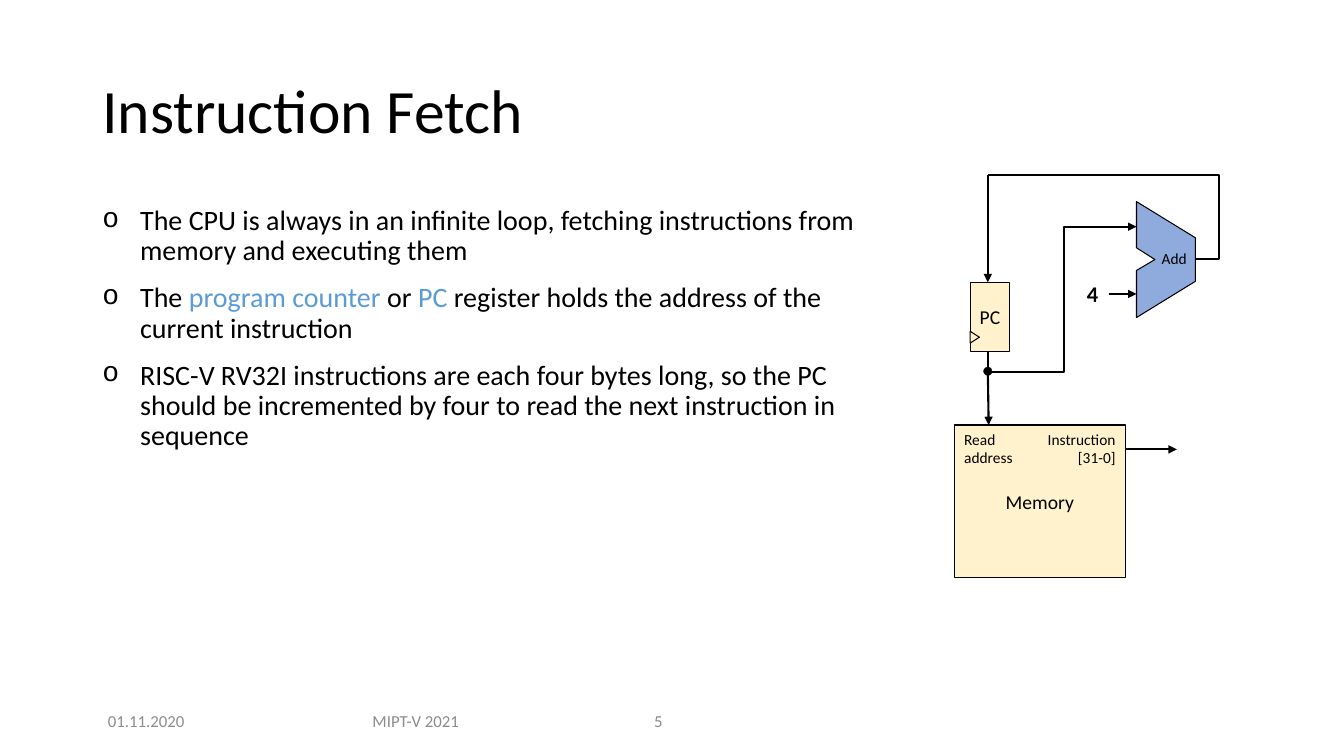
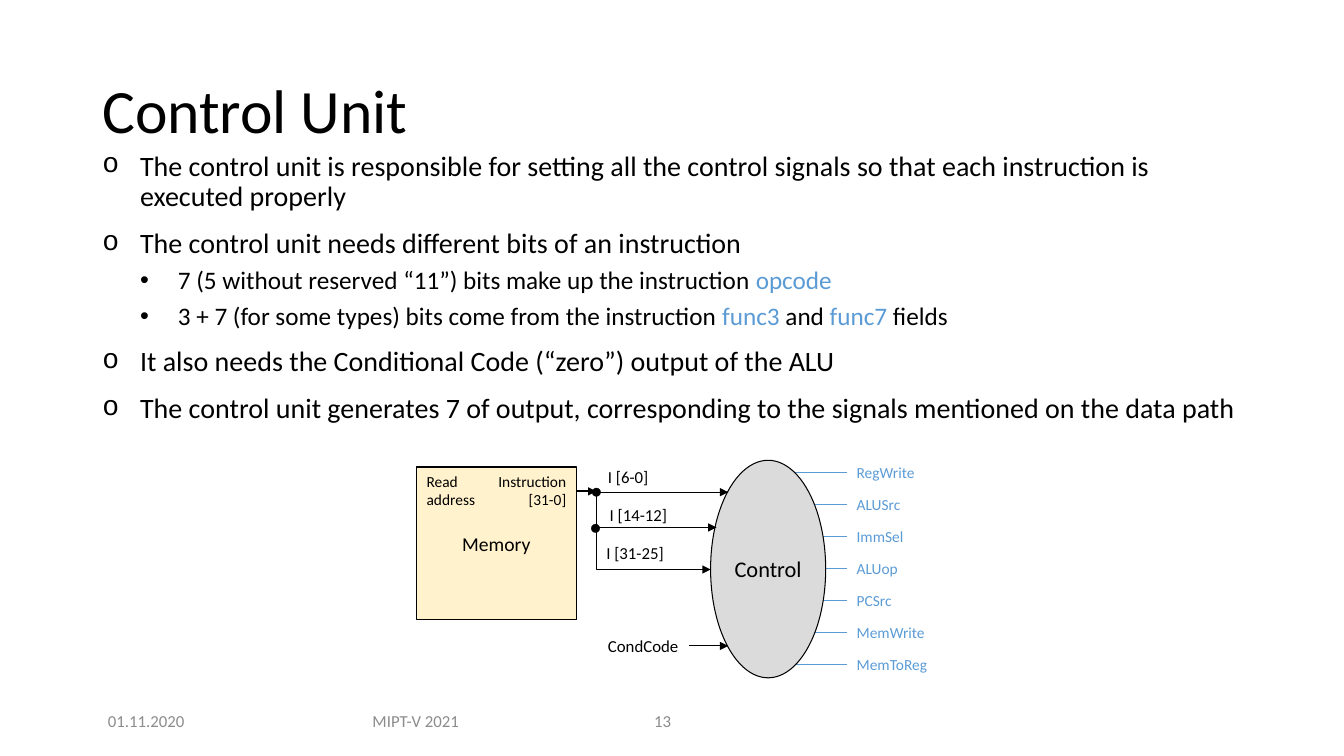
from dataclasses import dataclass

from lxml import etree
from pptx import Presentation
from pptx import util as u
from pptx.dml.color import RGBColor
from pptx.enum import shapes, text
from pptx.oxml import ns

COLUMNS, ROWS = 160, 90
CELL = u.Inches(1) / 12
FONT = "Calibri"
BLACK, GRAY, BLUE = "000000", "8C8C8C", "5B9BD5"
CREAM, ADDER_BLUE, SILVER = "FFF2CC", "8FAADC", "DBDBDB"
LEFT, CENTER, RIGHT = text.PP_ALIGN.LEFT, text.PP_ALIGN.CENTER, text.PP_ALIGN.RIGHT
TOP, MIDDLE = text.MSO_ANCHOR.TOP, text.MSO_ANCHOR.MIDDLE
PRESET = shapes.MSO_SHAPE
BULLETS = [("o", "Courier New", 20, 12), ("•", "Arial", 18, 6)]


@dataclass
class Box:
    left: float
    top: float
    width: float
    height: float

    def inner(self, column, row, width, height):
        return Box(self.left + column, self.top + row, width, height)

    def point(self, column, row):
        return cells(self.left + column), cells(self.top + row)

    def lengths(self):
        return [cells(n) for n in (self.left, self.top, self.width, self.height)]


def cells(count):
    return u.Emu(round(count * CELL))


def color(hex_string):
    return RGBColor.from_string(hex_string)


def add_xml(parent, tag, **attributes):
    return etree.SubElement(parent, ns.qn(tag), attributes)


def style_font(paragraph, size, ink=BLACK, bold=False):
    font = paragraph.font
    font.name, font.size, font.bold = FONT, u.Pt(size), bold
    font.color.rgb = color(ink)


def add_label(page, box, words, size, ink=BLACK, align=LEFT, anchor=TOP,
              bold=False, spacing=None, inset=True):
    frame = page.shapes.add_textbox(*box.lengths()).text_frame
    frame.word_wrap, frame.vertical_anchor = True, anchor
    if not inset:
        frame.margin_left = frame.margin_right = 0
        frame.margin_top = frame.margin_bottom = 0
    frame.text = words
    for paragraph in frame.paragraphs:
        paragraph.alignment = align
        if spacing:
            paragraph.line_spacing = spacing
        style_font(paragraph, size, ink, bold)


def paint(shape, fill, width=0.75):
    shape.shadow.inherit = False
    shape.fill.solid()
    shape.fill.fore_color.rgb = color(fill)
    shape.line.color.rgb = color(BLACK)
    shape.line.width = u.Pt(width)


def add_block(page, preset, box, fill, words="", size=14):
    block = page.shapes.add_shape(preset, *box.lengths())
    paint(block, fill)
    frame = block.text_frame
    frame.margin_left = frame.margin_right = 0
    frame.word_wrap, frame.vertical_anchor = False, MIDDLE
    if words:
        frame.text = words
        frame.paragraphs[0].alignment = CENTER
        style_font(frame.paragraphs[0], size)
    return block


def add_dot(page, area, column, row):
    dot = page.shapes.add_shape(PRESET.OVAL, *area.inner(column - 0.5, row - 0.5, 1, 1).lengths())
    paint(dot, BLACK, 0.25)


def add_wire(page, area, start, end, width=1.5, ink=BLACK, arrow=True, bend=None):
    kind = shapes.MSO_CONNECTOR.STRAIGHT if bend is None else shapes.MSO_CONNECTOR.ELBOW
    wire = page.shapes.add_connector(kind, *area.point(*start), *area.point(*end))
    wire.line.color.rgb = color(ink)
    wire.line.width = u.Pt(width)
    if arrow:
        add_xml(wire.get_or_add_ln(), "a:tailEnd", type="triangle")
    properties = wire.element.spPr
    if bend is not None:
        guides = properties.find(".//" + ns.qn("a:avLst"))
        add_xml(guides, "a:gd", name="adj1", fmla=f"val {round(bend * 100000)}")
    add_xml(properties, "a:effectLst")


def add_bullets(page, box, items):
    frame = page.shapes.add_textbox(*box.lengths()).text_frame
    frame.word_wrap = True
    for index, (level, words) in enumerate(items):
        paragraph = frame.paragraphs[0] if index == 0 else frame.add_paragraph()
        mark, mark_font, size, before = BULLETS[level]
        paragraph.level = level
        paragraph.line_spacing = 0.9
        paragraph.space_before = u.Pt(before if index else 0)
        indent = cells(4.5)
        properties = paragraph._p.get_or_add_pPr()
        properties.set("marL", str(indent * (level + 1)))
        properties.set("indent", str(-indent))
        add_xml(properties, "a:buFont", typeface=mark_font)
        add_xml(properties, "a:buChar", char=mark)
        style_font(paragraph, size)
        for position, piece in enumerate(words.split("|")):
            if piece:
                span = paragraph.add_run()
                span.text = piece
                if position % 2:
                    span.font.color.rgb = color(BLUE)


def add_page(deck, title, number):
    page = deck.slides.add_slide(deck.slide_layouts[6])
    add_label(page, Box(11, 4.8, 138, 17.4), title, 44, anchor=MIDDLE, spacing=0.9)
    footer = Box(11, 83.4, 75, 4.8)
    for column, width, words, align in [
        (0, 12.8, "01.11.2020", CENTER),
        (29, 19, "MIPT-V 2021", CENTER),
        (65.7, 9.5, number, LEFT),
    ]:
        add_label(page, footer.inner(column, 0, width, footer.height), words, 12, GRAY, align, MIDDLE)
    return page


def draw_memory(page, box, output_length):
    add_block(page, PRESET.RECTANGLE, box, CREAM, "Memory")
    add_label(page, box.inner(0, 0, 9, 5.6), "Read\naddress", 11)
    add_label(page, box.inner(box.width - 11.8, 0, 11.8, 5.6), "Instruction [31-0]", 11, align=RIGHT)
    add_wire(page, box, (box.width, 2.9), (box.width + output_length, 2.9))


def draw_adder(page, box):
    outline = [(0, 0), (0, 5.5), (2.2, 6.9), (0, 8.2), (0, 13.8), (7, 9.5), (7, 4.3)]
    first, *others = [box.point(*corner) for corner in outline]
    builder = page.shapes.build_freeform(*first)
    builder.add_line_segments(others, close=True)
    paint(builder.convert_to_shape(), ADDER_BLUE)
    add_label(page, box.inner(2.1, 5.6, 4.8, 2.3), "Add", 11, align=CENTER, inset=False)


def draw_register(page, box):
    add_block(page, PRESET.RECTANGLE, box, CREAM, "PC")
    clock = add_block(page, PRESET.ISOSCELES_TRIANGLE, box.inner(-0.15, 6, 1.4, 1.1), CREAM)
    clock.rotation = 90


def draw_fetch(page, area):
    add_wire(page, area, (28.6, 10), (4, 0), arrow=False, bend=-0.12)
    add_wire(page, area, (4, 0), (4, 12.8))
    add_dot(page, area, 4, 23.4)
    add_wire(page, area, (4.2, 23.5), (21.7, 6.2), bend=0.51)
    draw_adder(page, area.inner(21.7, 3.2, 7, 13.8))
    add_label(page, area.inner(14.6, 12, 3.8, 4.4), "4", 16, bold=True)
    add_wire(page, area, (18.4, 14.2), (21.7, 14.2))
    draw_memory(page, area.inner(0, 29.8, 20.4, 18.2), 6.1)
    add_wire(page, area, (4, 21), (4, 23.5), arrow=False)
    draw_register(page, area.inner(1.9, 12.8, 4.7, 8.2))
    add_wire(page, area, (4, 23.4), (4.1, 29.8))


def draw_control(page, area):
    draw_memory(page, area.inner(0, 0.8, 19, 18.2), 2.4)
    signals = ["RegWrite", "ALUSrc", "ImmSel", "ALUop", "PCSrc", "MemWrite", "MemToReg"]
    for index, signal in enumerate(signals):
        row = 1.4 + 3.82 * index
        add_wire(page, area, (51.2, row), (45.1, row), 0.75, BLUE, arrow=False)
        add_label(page, area.inner(51.2, row - 1.7, 12, 3.4), signal, 11, BLUE, anchor=MIDDLE)
    add_block(page, PRESET.OVAL, area.inner(35, 0, 13.7, 25.9), SILVER, "Control", 16)
    add_wire(page, area, (21.4, 4.3), (35, 13), 0.75, bend=0)
    for start, end, row in [(21.8, 37.1, 3.8), (21.6, 35.7, 8), (32.4, 37.1, 22.1)]:
        add_wire(page, area, (start, row), (end, row), 0.75)
    add_dot(page, area, 21.4, 3.8)
    add_dot(page, area, 21.3, 8.1)
    for column, row, words in [
        (21.6, 0.2, "I [6-0]"),
        (21.8, 4.7, "I [14-12]"),
        (21.4, 9.2, "I [31-25]"),
        (21.6, 20.3, "CondCode"),
    ]:
        add_label(page, area.inner(column, row, 12, 3.6), words, 12)


def build_fetch_page(deck):
    page = add_page(deck, "Instruction Fetch", "5")
    add_bullets(page, Box(11, 24, 92.5, 54.2), [
        (0, "The CPU is always in an infinite loop, fetching instructions from memory and executing them"),
        (0, "The |program counter |or |PC| register holds the address of the current instruction"),
        (0, "RISC-V RV32I instructions are each four bytes long, so the PC should be "
            "incremented by four to read the next instruction in sequence"),
    ])
    draw_fetch(page, Box(113.6, 20.8, 31.6, 48))


def build_control_page(deck):
    page = add_page(deck, "Control Unit", "13")
    add_bullets(page, Box(11, 17.5, 138, 60.6), [
        (0, "The control unit is responsible for setting all the control signals so that "
            "each instruction is executed properly"),
        (0, "The control unit needs different bits of an instruction"),
        (1, "7 (5 without reserved “11”) bits make up the instruction |opcode"),
        (1, "3 + 7 (for some types) bits come from the instruction |func3 |and |func7 |fields"),
        (0, "It also needs the Conditional Code (“zero”) output of the ALU"),
        (0, "The control unit generates 7 of output, corresponding to the signals "
            "mentioned on the data path"),
    ])
    draw_control(page, Box(49.6, 54.8, 63.2, 25.9))


def main():
    deck = Presentation()
    deck.slide_width, deck.slide_height = cells(COLUMNS), cells(ROWS)
    build_fetch_page(deck)
    build_control_page(deck)
    deck.save("out.pptx")


if __name__ == "__main__":
    main()
